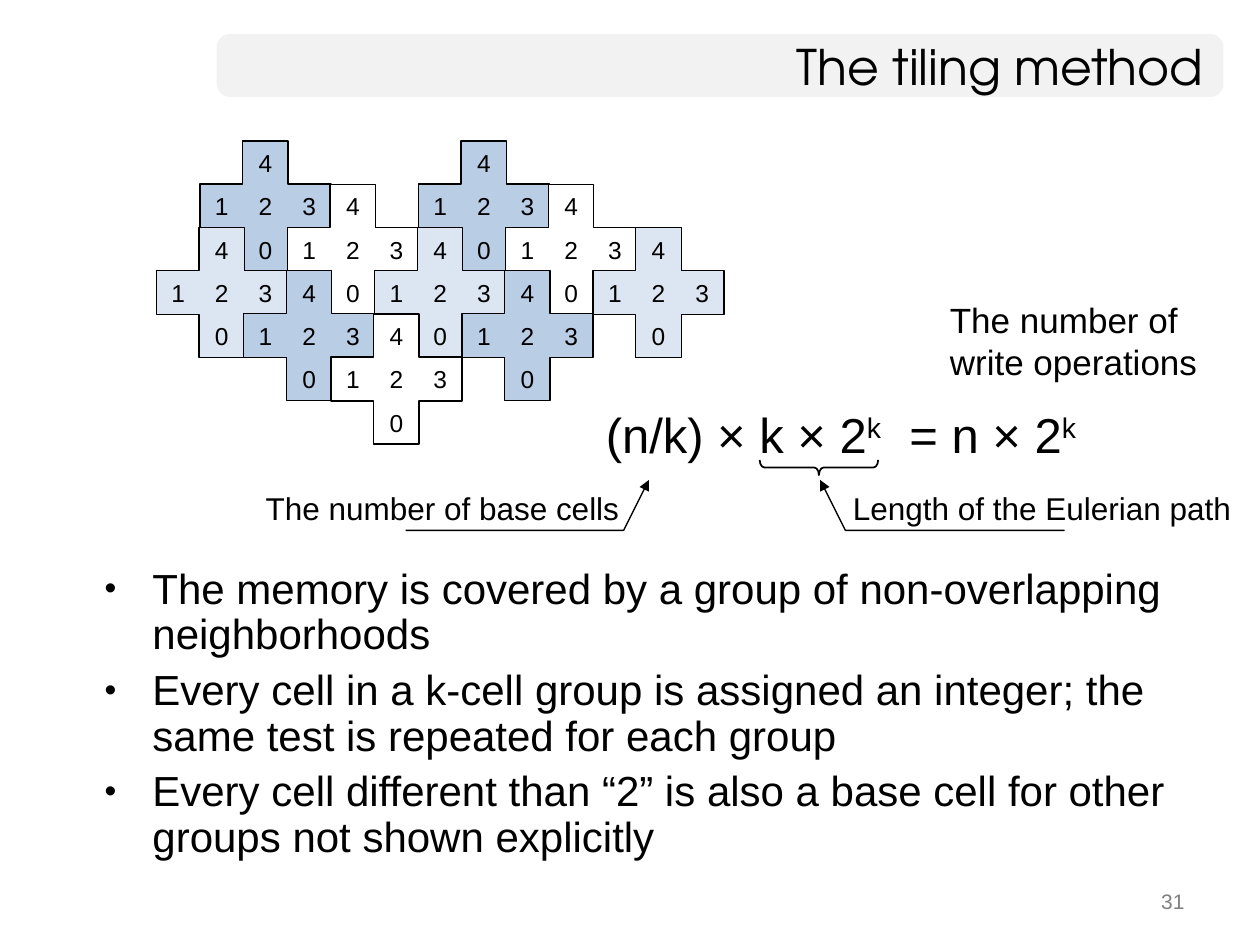
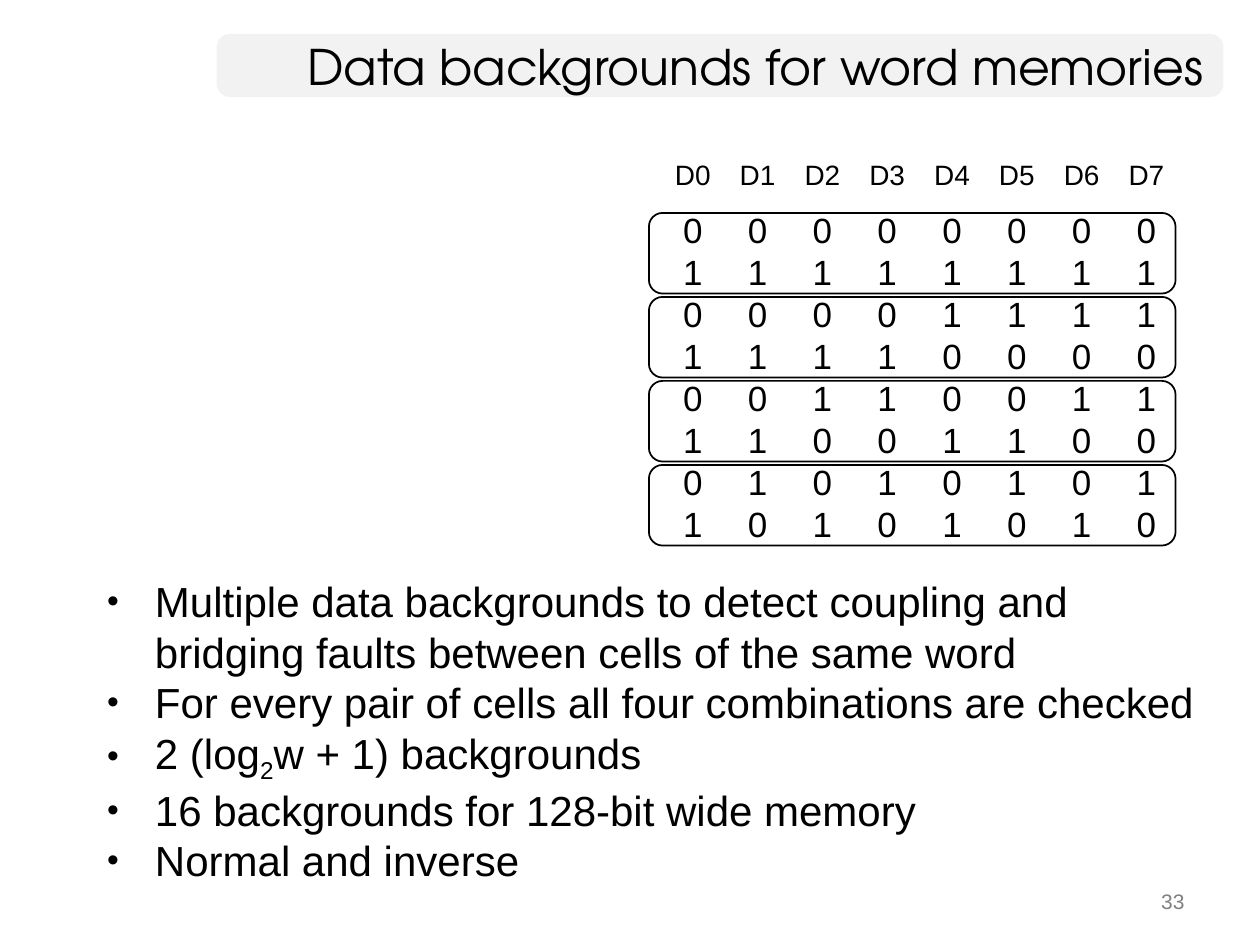
from dataclasses import dataclass

from lxml.etree import SubElement
from pptx import Presentation
from pptx.dml.color import RGBColor
from pptx.enum.shapes import MSO_SHAPE
from pptx.enum.text import MSO_ANCHOR, MSO_AUTO_SIZE, PP_ALIGN
from pptx.oxml.ns import qn
from pptx.util import Inches, Pt


@dataclass(frozen=True)
class Theme:
    head: str = "TeX Gyre Adventor"
    body: str = "Arial"
    ink: str = "000000"
    grey: str = "808080"
    band: str = "F2F2F2"
    dark: str = "B9CDE5"
    light: str = "DCE6F2"
    white: str = "FFFFFF"
    large: int = 28
    list: int = 24
    text: int = 20
    label: int = 18
    small: int = 16
    digit: int = 14
    foot: int = 12


theme = Theme()


def write(shape, paras, size, font=theme.body, color=theme.ink, align=PP_ALIGN.LEFT,
          anchor=MSO_ANCHOR.TOP, wrap=True, inset=None, before=0, spacing=None,
          bullet=False, stops=(), stop="l", shift=0):
    """Fill a shape with paragraphs; every second piece of a tuple is shifted by a percentage."""
    frame = shape.text_frame
    frame.auto_size = MSO_AUTO_SIZE.NONE
    frame.word_wrap = wrap
    frame.vertical_anchor = anchor
    if inset is not None:
        frame.margin_left = frame.margin_right = Inches(inset)
        frame.margin_top = frame.margin_bottom = Inches(inset)
    for i, pieces in enumerate(paras):
        para = frame.add_paragraph() if i else frame.paragraphs[0]
        para.alignment = align
        para.space_before = Pt(before if i else 0)
        if spacing:
            para.line_spacing = spacing
        props = para._p.get_or_add_pPr()
        if bullet:
            props.set("marL", str(Inches(0.38)))
            props.set("indent", str(-Inches(0.38)))
            SubElement(props, qn("a:buSzPct"), val="80000")
            SubElement(props, qn("a:buChar"), char="•")
        if stops:
            tabs = SubElement(props, qn("a:tabLst"))
            for pos in stops:
                SubElement(tabs, qn("a:tab"), pos=str(Inches(pos)), algn=stop)
        for j, piece in enumerate((pieces,) if isinstance(pieces, str) else pieces):
            run = para.add_run()
            run.text = piece
            run.font.size = Pt(size)
            run.font.name = font
            run.font.color.rgb = RGBColor.from_string(color)
            if j % 2:
                run._r.get_or_add_rPr().set("baseline", str(shift * 1000))


def style(shape, fill=None, width=0.0, adjust=()):
    shape.shadow.inherit = False
    if fill:
        shape.fill.solid()
        shape.fill.fore_color.rgb = RGBColor.from_string(fill)
    else:
        shape.fill.background()
    if width:
        shape.line.color.rgb = RGBColor.from_string(theme.ink)
        shape.line.width = Pt(width)
    else:
        shape.line.fill.background()
    for i, value in enumerate(adjust):
        shape.adjustments[i] = value


deck = Presentation()
deck.slide_width, deck.slide_height = Inches(10), Inches(7.5)

# Shared frame: band, title, bullet list and page number
pages = [
    ("The tiling method", "31", (0.73, 4.46, 8.77, 2.5),
     ["The memory is covered by a group of non-overlapping neighborhoods",
      "Every cell in a k-cell group is assigned an integer; the same test is repeated for each group",
      "Every cell different than “2” is also a base cell for other groups not shown explicitly"],
     dict(before=6, spacing=0.9)),
    ("Data backgrounds for word memories", "33", (0.75, 4.52, 9, 2.51),
     ["Multiple data backgrounds to detect coupling and bridging faults between cells of the same word",
      "For every pair of cells all four combinations are checked",
      ("2 (log", "2", "w + 1) backgrounds"),
      "16 backgrounds for 128-bit wide memory",
      "Normal and inverse"],
     dict(shift=-25)),
]
for name, number, place, points, form in pages:
    slide = deck.slides.add_slide(deck.slide_layouts[1])
    title, body = slide.placeholders
    for holder, at in ((title, (1.72, 0.27, 7.93, 0.5)), (body, place)):
        holder.left, holder.top, holder.width, holder.height = map(Inches, at)
    band = slide.shapes.add_shape(MSO_SHAPE.ROUNDED_RECTANGLE,
                                  *map(Inches, (1.72, 0.27, 7.99, 0.5)))
    style(band, theme.band, adjust=[0.21])
    title.element.addprevious(band.element)
    write(title, [name], theme.large, font=theme.head, align=PP_ALIGN.RIGHT,
          anchor=MSO_ANCHOR.MIDDLE)
    write(body, points, theme.list, bullet=True, **form)
    foot = slide.shapes.add_textbox(*map(Inches, (7.17, 7, 2.33, 0.35)))
    write(foot, [number], theme.foot, color=theme.grey, align=PP_ALIGN.RIGHT)

tiling, words = deck.slides

# Tiles on a grid of cells: column, row, fill
shapes = tiling.shapes
wide, high = 1.04 / 3, 1.03 / 3
tiles = [
    (1, 0, theme.dark), (0, 2, theme.light), (3, 1, theme.white), (2, 3, theme.dark),
    (6, 0, theme.dark), (5, 2, theme.light), (8, 1, theme.white), (7, 3, theme.dark),
    (4, 4, theme.white), (10, 2, theme.light),
]
cells = {"4": (1, 0), "2": (1, 1), "0": (1, 2), "3": (2, 1), "1": (0, 1)}
for col, row, fill in tiles:
    left, top = 1.24 + col * wide, 1.12 + row * high
    plus = shapes.add_shape(MSO_SHAPE.CROSS, *map(Inches, (left, top, 3 * wide, 3 * high)))
    style(plus, fill, 0.75, [0.33])
    for digit, (across, down) in cells.items():
        cell = shapes.add_textbox(
            *map(Inches, (left + across * wide, top + down * high, wide, high)))
        write(cell, [digit], theme.digit, align=PP_ALIGN.CENTER,
              anchor=MSO_ANCHOR.MIDDLE, wrap=False, inset=0)

# Formula with its labels, pointers and brace
labels = [
    ("The number of write operations", (7.44, 2.32, 2.23, 0.77), theme.text, dict()),
    (("(n/k) × k × 2", "k", "\t= n × 2", "k"), (4.71, 3.16, 4.1, 0.57), theme.large,
     dict(stops=[2.41], shift=30)),
    ("Length of the Eulerian path", (6.67, 3.83, 3.23, 0.4), theme.label, dict(wrap=False)),
    ("The number of base cells", (2.01, 3.83, 3.04, 0.4), theme.label, dict(wrap=False)),
]
for text, at, size, form in labels:
    write(shapes.add_textbox(*map(Inches, at)), [text], size, **form)

for start, bend, tip in ((3.22, 4.95, 5.15), (8.45, 6.71, 6.51)):
    low, peak = Inches(4.21), Inches(3.81)
    route = shapes.build_freeform(Inches(start), low)
    route.add_line_segments([(Inches(bend), low), (Inches(tip), peak)], close=False)
    arrow = route.convert_to_shape()
    style(arrow, width=0.75)
    SubElement(arrow.line._get_or_add_ln(), qn("a:tailEnd"), type="triangle")

brace = shapes.add_shape(MSO_SHAPE.LEFT_BRACE, *map(Inches, (6.44, 3.24, 0.12, 0.94)))
brace.rotation = 270
style(brace, width=1, adjust=[0.31, 0.5])

# Pairs of a background and its inverse, framed two by two
shapes = words.shapes
for i in range(4):
    pair = shapes.add_shape(MSO_SHAPE.ROUNDED_RECTANGLE,
                            *map(Inches, (5.15, 1.69 + i * 2 / 3, 4.18, 0.64)))
    style(pair, theme.white, 1, [0.17])

rows = []
for block in (8, 4, 2, 1):
    bits = [bit // block % 2 for bit in range(8)]
    rows += [bits, [1 - bit for bit in bits]]
stops = [0.15 + i * 3.6 / 7 for i in range(8)]
names = shapes.add_textbox(*map(Inches, (5.25, 1.2, 4.25, 0.4)))
write(names, ["".join(f"\tD{i}" for i in range(8))], theme.small, stops=stops, stop="ctr")
grid = shapes.add_textbox(*map(Inches, (5.25, 1.6, 4.25, 2.77)))
write(grid, ["".join(f"\t{bit}" for bit in row) for row in rows], theme.text,
      stops=stops, stop="ctr", anchor=MSO_ANCHOR.MIDDLE)

deck.save("out.pptx")
